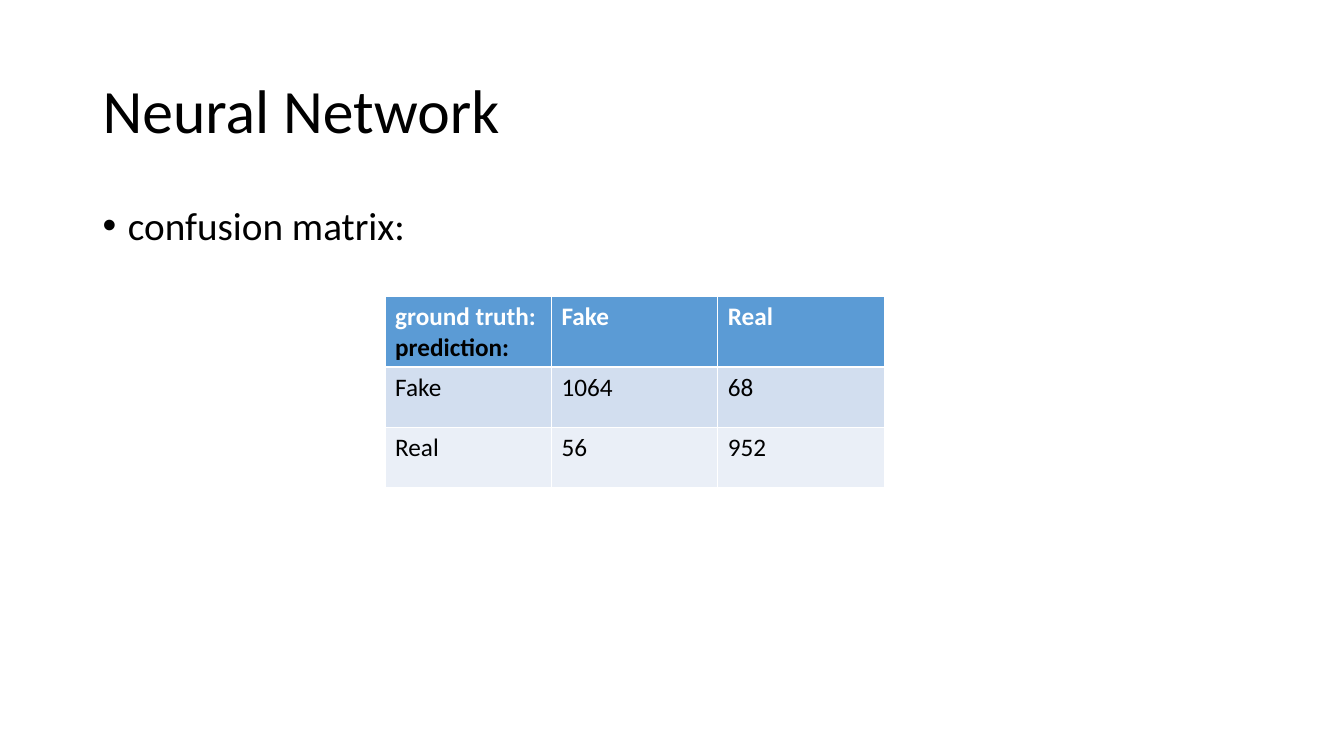
from lxml.etree import SubElement
from pptx import Presentation
from pptx.dml.color import RGBColor
from pptx.enum.text import MSO_ANCHOR as Anchor
from pptx.oxml.ns import qn
from pptx.util import Inches, Pt

FONT = "Calibri"
BLACK = RGBColor(0x00, 0x00, 0x00)
WHITE = RGBColor(0xFF, 0xFF, 0xFF)
HEADER_BLUE = RGBColor(0x5B, 0x9B, 0xD5)
BAND_DARK = RGBColor(0xD2, 0xDE, 0xEF)
BAND_LIGHT = RGBColor(0xEA, 0xEF, 0xF7)
ROW_FILLS = [HEADER_BLUE, BAND_DARK, BAND_LIGHT]

WIDTH, HEIGHT = 13.33, 7.5
MARGIN = 0.92
CONTENT_WIDTH = WIDTH - 2 * MARGIN
COLUMN_WIDTH, ROW_HEIGHT = 1.65, 0.6

CONFUSION_MATRIX = [
    ["ground truth:\nprediction:", "Fake", "Real"],
    ["Fake", "1064", "68"],
    ["Real", "56", "952"],
]


def format_runs(paragraph, size, color, bold=False):
    for run in paragraph.runs:
        run.font.name = FONT
        run.font.size = Pt(size)
        run.font.color.rgb = color
        run.font.bold = bold


def add_text(slide, text, top, height, size, anchor):
    """Add a text box across the content width and return its paragraph."""
    box = slide.shapes.add_textbox(
        Inches(MARGIN), Inches(top), Inches(CONTENT_WIDTH), Inches(height))
    frame = box.text_frame
    frame.word_wrap = True
    frame.vertical_anchor = anchor
    frame.text = text
    paragraph = frame.paragraphs[0]
    paragraph.line_spacing = 0.9
    format_runs(paragraph, size, BLACK)
    return paragraph


def add_bullet(paragraph, indent):
    properties = paragraph._p.get_or_add_pPr()
    properties.set("marL", str(Inches(indent)))
    properties.set("indent", str(-Inches(indent)))
    SubElement(properties, qn("a:buFont"), typeface="Arial")
    SubElement(properties, qn("a:buChar"), char="•")


def add_matrix(slide, rows, left, top):
    """Add a table with a bold header row; its white rules come from the table style."""
    row_count, column_count = len(rows), len(rows[0])
    table = slide.shapes.add_table(
        row_count, column_count, Inches(left), Inches(top),
        Inches(COLUMN_WIDTH * column_count), Inches(ROW_HEIGHT * row_count)).table
    for row_index, (texts, fill) in enumerate(zip(rows, ROW_FILLS)):
        is_header = row_index == 0
        for column_index, text in enumerate(texts):
            cell = table.cell(row_index, column_index)
            cell.fill.solid()
            cell.fill.fore_color.rgb = fill
            cell.text_frame.text = text
            for line, paragraph in enumerate(cell.text_frame.paragraphs):
                color = WHITE if is_header and line == 0 else BLACK
                format_runs(paragraph, 18, color, bold=is_header)


def main():
    presentation = Presentation()
    presentation.slide_width = Inches(WIDTH)
    presentation.slide_height = Inches(HEIGHT)
    slide = presentation.slides.add_slide(presentation.slide_layouts[6])

    add_text(slide, "Neural Network", 0.4, 1.45, 44, Anchor.MIDDLE)
    bullet = add_text(slide, "confusion matrix:", 2, 4.76, 28, Anchor.TOP)
    bullet.space_before = Pt(10)
    add_bullet(bullet, 0.25)
    add_matrix(slide, CONFUSION_MATRIX, 3.82, 2.94)

    presentation.save("out.pptx")


if __name__ == "__main__":
    main()
